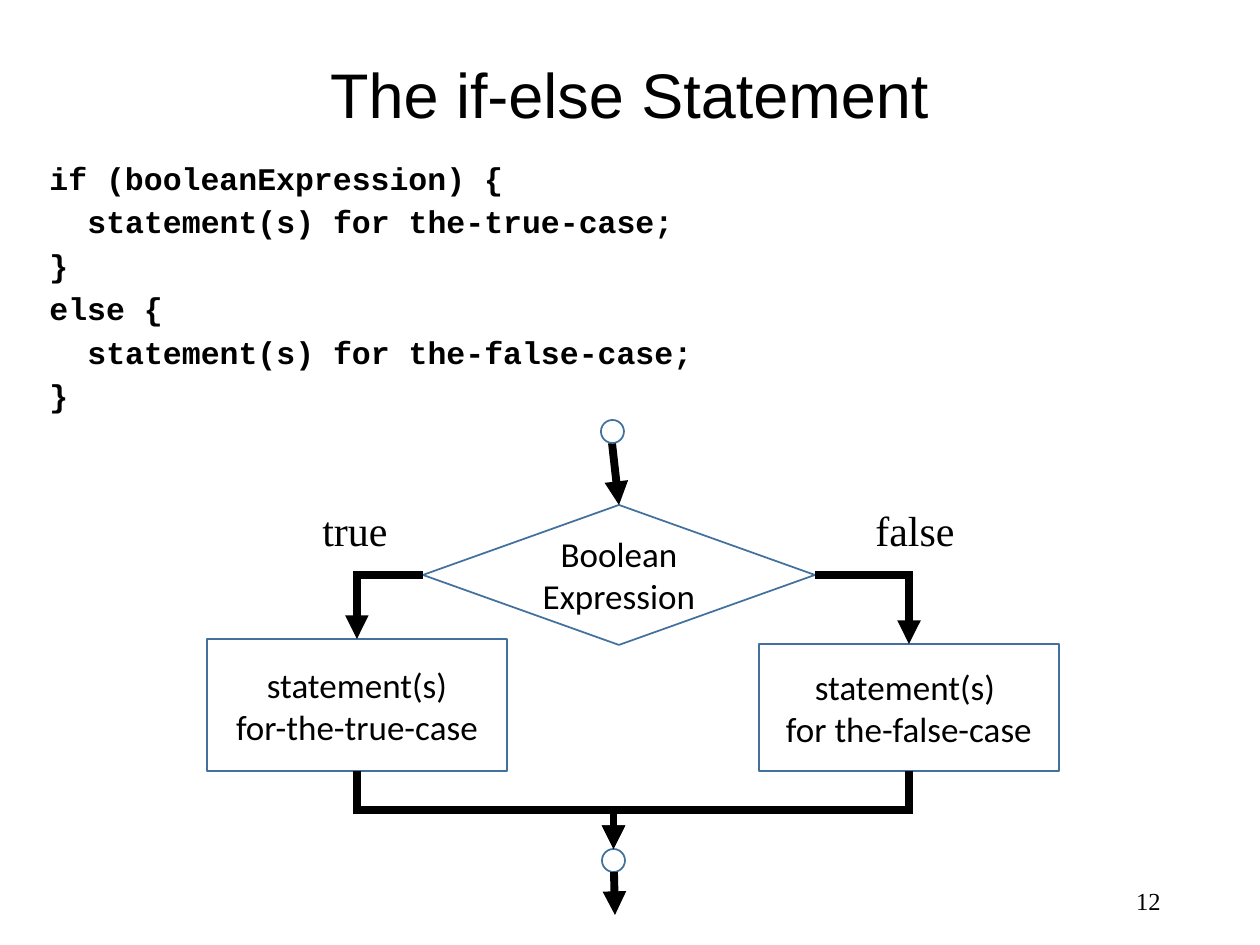
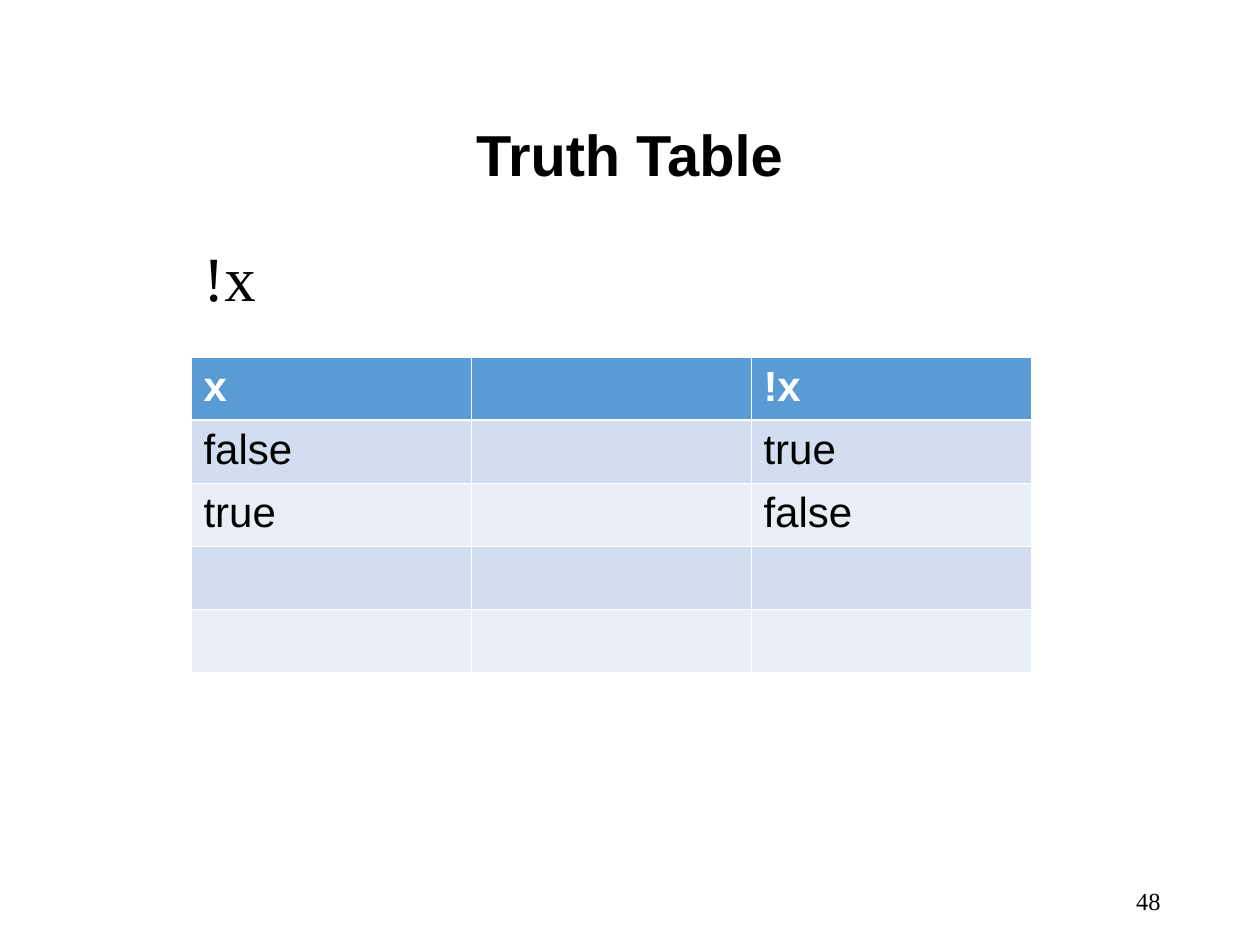
from pptx import Presentation
from pptx import util as u
from pptx.dml.color import RGBColor
from pptx.enum import shapes as sh, text as tx
from pptx.oxml import ns
from lxml import etree

PX = 914400 / 126  # EMU in one px
HEX = {"ink": "000000", "paper": "FFFFFF", "edge": "41719C",
       "head": "5B9BD5", "odd": "D2DEEF", "even": "EAEFF7"}
SANS, MONO, SERIF, BODY = "Arial", "Courier New", "Times New Roman", "Calibri"
LEFT, MID, RIGHT = tx.PP_ALIGN.LEFT, tx.PP_ALIGN.CENTER, tx.PP_ALIGN.RIGHT
FIT = tx.MSO_AUTO_SIZE
KIND = sh.MSO_SHAPE
TOP, BASE, WEST, EAST = 0, 2, 1, 3  # connection sites
CODE = [(0, "if (booleanExpression) {"),
        (1, "statement(s) for the-true-case;"),
        (0, "}"),
        (0, "else {"),
        (1, "statement(s) for the-false-case;"),
        (0, "}")]
TRUTH = [("x", "", "!x"), ("false", "", "true"), ("true", "", "false"),
         ("", "", ""), ("", "", "")]


def emu(*px):
    return [u.Emu(round(v * PX)) for v in px]


def shift(box, x, y, *size):
    return (box[0] + x, box[1] + y, *size)


def tint(key):
    return RGBColor.from_string(HEX[key])


def paint(fill, key):
    fill.solid()
    fill.fore_color.rgb = tint(key)


def style(para, font, size, key="ink", bold=False, **form):
    for name, val in {"name": font, "size": u.Pt(size), "bold": bold}.items():
        setattr(para.font, name, val)
    para.font.color.rgb = tint(key)
    for name, val in form.items():
        setattr(para, name, val)


def write(frame, lines, font, size, **form):
    """Fill a text frame with one paragraph per line."""
    for i, line in enumerate(lines):
        para = frame.add_paragraph() if i else frame.paragraphs[0]
        para.add_run().text = line
        style(para, font, size, **form)


def label(slide, box, lines, font, size, wrap=False,
          anchor=tx.MSO_ANCHOR.TOP, **form):
    """Text box; one that does not wrap grows with its text."""
    frame = slide.shapes.add_textbox(*emu(*box)).text_frame
    frame.word_wrap, frame.vertical_anchor = wrap, anchor
    frame.auto_size = FIT.NONE if wrap else FIT.SHAPE_TO_FIT_TEXT
    write(frame, lines, font, size, **form)
    return frame


def start(deck, title, box, size, number, bold=False):
    """Add a slide with its title and page number."""
    slide = deck.slides.add_slide(deck.slide_layouts[5])
    head = slide.shapes.title
    for name, val in zip(("left", "top", "width", "height"), emu(*box)):
        setattr(head, name, val)
    head.text_frame.vertical_anchor = tx.MSO_ANCHOR.MIDDLE
    write(head.text_frame, [title], SANS, size, bold=bold,
          alignment=MID, line_spacing=0.9)
    label(slide, (889, 876, 284, 50), [number], SERIF, 14, wrap=True,
          anchor=tx.MSO_ANCHOR.MIDDLE, alignment=RIGHT)
    return slide


def code(slide, box):
    """Code listing, indented by level."""
    frame = label(slide, box, [line for _, line in CODE], MONO, 18, wrap=True,
                  bold=True, alignment=LEFT, line_spacing=0.8,
                  space_before=u.Pt(7.5))
    for para, (level, _) in zip(frame.paragraphs, CODE):
        para._p.get_or_add_pPr().set("marL", str(emu(38 * level)[0]))


def node(slide, kind, box, lines=()):
    shape = slide.shapes.add_shape(kind, *emu(*box))
    shape.shadow.inherit = False
    paint(shape.fill, "paper")
    shape.line.color.rgb, shape.line.width = tint("edge"), u.Pt(1)
    shape.text_frame.vertical_anchor = tx.MSO_ANCHOR.MIDDLE
    write(shape.text_frame, lines, BODY, 20, alignment=MID)
    return shape


def link(slide, kind, a, b):
    """Thick arrow with sharp corners from point a to point b."""
    line = slide.shapes.add_connector(kind, *emu(*a, *b))
    line.line.color.rgb, line.line.width = tint("ink"), u.Pt(4.5)
    spot = line._element.spPr
    pen = spot.find(ns.qn("a:ln"))
    etree.SubElement(pen, ns.qn("a:miter"), lim="800000")
    etree.SubElement(pen, ns.qn("a:tailEnd"), type="triangle")
    etree.SubElement(spot, ns.qn("a:effectLst"))
    return line


def bend(slide, src, out, dst):
    """Elbow arrow from one side of a node to the top of another."""
    line = link(slide, sh.MSO_CONNECTOR.ELBOW, (0, 0), (9, 9))
    line.begin_connect(src, out)
    line.end_connect(dst, TOP)
    spot = line._element.spPr
    if out != BASE:
        spot.find(ns.qn("a:prstGeom")).set("prst", "bentConnector2")
        return
    # Turn the elbow so that it leaves downwards
    east = line.end_x > line.begin_x
    wide, high = line.width, line.height
    line.left += (wide - high) // 2
    line.top += (high - wide) // 2
    line.width, line.height = high, wide
    turn = spot.find(ns.qn("a:xfrm"))
    turn.set("rot", "16200000" if east else "5400000")
    turn.set("flipH", str(int(east)))


def flow(slide, box):
    """Flowchart of the two branches."""
    test = node(slide, KIND.FLOWCHART_DECISION, shift(box, 216, 85, 392, 140),
                ["Boolean", "Expression"])
    yes = node(slide, KIND.FLOWCHART_PROCESS, shift(box, 0, 219, 300, 132),
               ["statement(s)", "for-the-true-case"])
    no = node(slide, KIND.FLOWCHART_PROCESS, shift(box, 552, 224, 300, 127),
              ["statement(s) ", "for the-false-case"])
    straight = sh.MSO_CONNECTOR.STRAIGHT
    entry = link(slide, straight, shift(box, 405, 23), shift(box, 412, 85))
    entry.end_connect(test, TOP)
    node(slide, KIND.FLOWCHART_CONNECTOR, shift(box, 394, 0, 23, 23))
    join = node(slide, KIND.FLOWCHART_CONNECTOR, shift(box, 395, 429, 23, 23))
    link(slide, straight, shift(box, 407, 452), shift(box, 408, 495))
    # Branch labels
    label(slide, shift(box, 103, 78, 91, 63), ["true"], SERIF, 24)
    label(slide, shift(box, 656, 78, 105, 63), ["false"], SERIF, 24)
    # Branches and their merge
    for side, step in ((EAST, no), (WEST, yes)):
        bend(slide, test, side, step)
        bend(slide, step, BASE, join)


def border(cell, **widths):
    """White cell borders, widths in points."""
    props = cell._tc.get_or_add_tcPr()
    for i, (side, width) in enumerate(widths.items()):
        edge = etree.Element(ns.qn("a:ln" + side), w=str(u.Pt(width)))
        fill = etree.SubElement(edge, ns.qn("a:solidFill"))
        etree.SubElement(fill, ns.qn("a:srgbClr"), val=HEX["paper"])
        props.insert(i, edge)


def truth(slide, box):
    """Banded truth table under a header row."""
    rows, cols = len(TRUTH), len(TRUTH[0])
    grid = slide.shapes.add_table(rows, cols, *emu(*box)).table
    for r, row in enumerate(TRUTH):
        top = r == 0
        band = "head" if top else "odd" if r % 2 else "even"
        for c, word in enumerate(row):
            cell = grid.cell(r, c)
            paint(cell.fill, band)
            border(cell, L=0.45, R=0.45, T=1.47 if r == 1 else 0.45,
                   B=1.47 if top else 0.45)
            cell.text = word
            style(cell.text_frame.paragraphs[0], SANS, 24,
                  key="paper" if top else "ink", bold=top)


def main():
    deck = Presentation()
    deck.slide_width, deck.slide_height = emu(1260, 945)

    # Branching
    slide = start(deck, "The if-else Statement", (94, 0, 1071, 197), 36, "12")
    code(slide, (37, 160, 1186, 284))
    flow(slide, (207, 420))

    # Negation
    slide = start(deck, "Truth Table", (94, 63, 1071, 189), 33, "48", bold=True)
    truth(slide, (191, 357, 840, 315))
    label(slide, (191, 232, 80, 88), ["!x"], SERIF, 36)

    deck.save("out.pptx")


if __name__ == "__main__":
    main()
